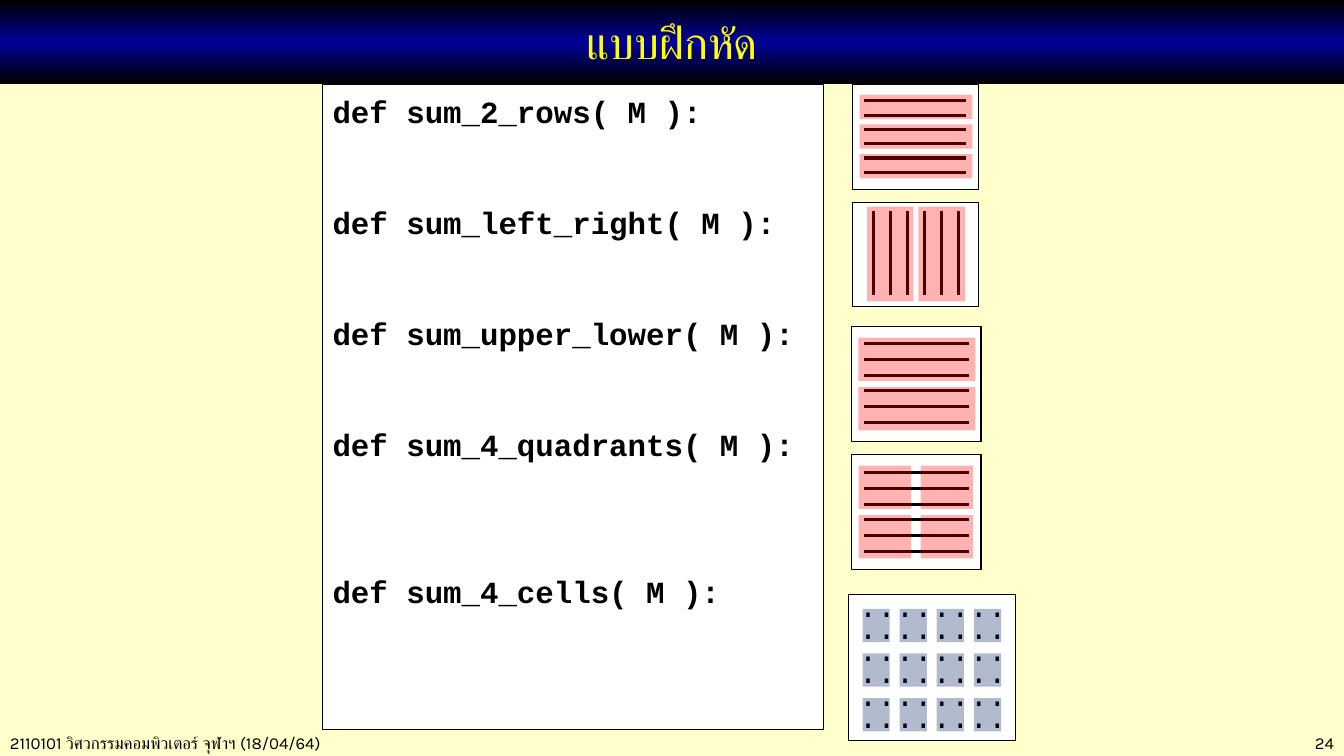
from dataclasses import dataclass
from typing import Iterator, Optional

from lxml.etree import SubElement
from pptx import Presentation
from pptx.dml.color import RGBColor
from pptx.dml.fill import FillFormat
from pptx.enum.shapes import MSO_CONNECTOR, MSO_SHAPE
from pptx.enum.text import MSO_ANCHOR, PP_ALIGN
from pptx.oxml.ns import qn
from pptx.shapes.autoshape import Shape
from pptx.text.text import TextFrame
from pptx.util import Inches, Length, Pt

COLUMNS, ROWS = 133.3, 75
CODE_LINE = 26.4
BLACK, WHITE, YELLOW, RED, NAVY = "000000", "FFFFFF", "FFFF00", "FF0000", "002060"


@dataclass(frozen=True)
class Area:
    left: float
    top: float
    width: float
    height: float


@dataclass(frozen=True)
class Repeat:
    first: Area
    columns: int = 1
    rows: int = 1
    column_step: float = 0
    row_step: float = 0

    def areas(self) -> Iterator[Area]:
        for row in range(self.rows):
            for column in range(self.columns):
                yield Area(self.first.left + column * self.column_step,
                           self.first.top + row * self.row_step,
                           self.first.width, self.first.height)


@dataclass(frozen=True)
class Matrix:
    frame: Area
    blocks: Repeat
    block_color: str = RED
    strokes: Optional[Repeat] = None
    dots: tuple[str, ...] = ()


@dataclass(frozen=True)
class Function:
    signature: str
    gap_lines: int


FUNCTIONS = [
    Function("def sum_2_rows( M ):", 0),
    Function("def sum_left_right( M ):", 2),
    Function("def sum_upper_lower( M ):", 2),
    Function("def sum_4_quadrants( M ):", 2),
    Function("def sum_4_cells( M ):", 3),
]

MATRICES = [
    Matrix(Area(84.6, 8.4, 12.5, 10.4),
           Repeat(Area(85.25, 9.4, 11.2, 2.4), rows=3, row_step=2.95),
           strokes=Repeat(Area(85.7, 10, 10.1, 0), rows=6, row_step=1.42)),
    Matrix(Area(84.6, 20.05, 12.5, 10.4),
           Repeat(Area(86, 20.5, 4.6, 9.4), columns=2, column_step=5.1),
           strokes=Repeat(Area(86.6, 20.9, 0, 8.4), columns=6, column_step=1.7)),
    Matrix(Area(84.5, 32.4, 12.8, 11.4),
           Repeat(Area(85.15, 33.5, 11.6, 4.3), rows=2, row_step=4.9),
           strokes=Repeat(Area(85.7, 34.1, 10.4, 0), rows=6, row_step=1.56)),
    Matrix(Area(84.5, 45.1, 12.8, 11.4),
           Repeat(Area(85.15, 46.2, 5.2, 4.3), 2, 2, 6.15, 4.9),
           strokes=Repeat(Area(85.7, 46.9, 10.4, 0), rows=6, row_step=1.56)),
    Matrix(Area(84.2, 59, 16.5, 14.5),
           Repeat(Area(85.55, 60.4, 2.7, 3.3), 4, 3, 3.68, 4.43),
           block_color=NAVY,
           dots=("........................", "........", "........", "........")),
]


def cells(count: float) -> Length:
    return Inches(count / 10)


def color(value: str) -> RGBColor:
    return RGBColor.from_string(value)


def place(area: Area) -> tuple[Length, Length, Length, Length]:
    return cells(area.left), cells(area.top), cells(area.width), cells(area.height)


def paint(fill: FillFormat, value: str) -> None:
    fill.solid()
    fill.fore_color.rgb = color(value)


def add_panel(shapes, area: Area, fill: str, outline: str = "", opacity: int = 100) -> Shape:
    panel = shapes.add_shape(MSO_SHAPE.RECTANGLE, *place(area))
    panel.shadow.inherit = False
    paint(panel.fill, fill)
    if opacity < 100:
        tint = panel.fill._xPr.find(qn("a:solidFill"))[0]
        SubElement(tint, qn("a:alpha"), val=str(opacity * 1000))
    if outline:
        paint(panel.line.fill, outline)
        panel.line.width = Pt(0.75)
    else:
        panel.line.fill.background()
    return panel


def add_stroke(shapes, area: Area) -> None:
    stroke = shapes.add_connector(
        MSO_CONNECTOR.STRAIGHT, cells(area.left), cells(area.top),
        cells(area.left + area.width), cells(area.top + area.height))
    paint(stroke.line.fill, BLACK)
    stroke.line.width = Pt(2.25)
    SubElement(stroke._element.spPr, qn("a:effectLst"))


def write(frame: TextFrame, lines: list[str], font: str, size: float, ink: str = BLACK,
          align: PP_ALIGN = PP_ALIGN.LEFT, bold: bool = False) -> None:
    frame.word_wrap = True
    for index, line in enumerate(lines):
        paragraph = frame.add_paragraph() if index else frame.paragraphs[0]
        paragraph.text = line
        paragraph.alignment = align
        paragraph.font.name = font
        paragraph.font.size = Pt(size)
        paragraph.font.bold = bold
        paragraph.font.color.rgb = color(ink)


def add_title(shapes, text: str) -> None:
    banner = add_panel(shapes, Area(0, 0, COLUMNS, 8.3), BLACK)
    banner.fill.gradient()
    banner.fill.gradient_angle = 270
    stops = banner.fill._xPr.find(qn("a:gradFill")).find(qn("a:gsLst"))
    stops.clear()
    for share, shade in ((0, BLACK), (50, "000099"), (100, BLACK)):
        stop = SubElement(stops, qn("a:gs"), pos=str(share * 1000))
        SubElement(stop, qn("a:srgbClr"), val=shade)
    banner.text_frame.vertical_anchor = MSO_ANCHOR.MIDDLE
    write(banner.text_frame, [text], "Karla", 32, YELLOW, PP_ALIGN.CENTER)


def add_code(shapes, functions: list[Function]) -> None:
    listing = add_panel(shapes, Area(32, 8.4, 49.7, 64), WHITE, BLACK).text_frame
    listing.vertical_anchor = MSO_ANCHOR.TOP
    listing.margin_top = cells(0.8)
    write(listing, [function.signature for function in functions], "Courier New", 22, bold=True)
    for paragraph, function in zip(listing.paragraphs, functions):
        paragraph.line_spacing = Pt(CODE_LINE)
        paragraph.space_before = Pt(function.gap_lines * CODE_LINE)


def add_matrix(shapes, matrix: Matrix) -> None:
    group = shapes.add_group_shape().shapes
    add_panel(group, matrix.frame, WHITE, BLACK)
    if matrix.strokes:
        for area in matrix.strokes.areas():
            add_stroke(group, area)
    if matrix.dots:
        frame = matrix.frame
        entries = group.add_textbox(*place(Area(frame.left, frame.top, 17.9, frame.height)))
        write(entries.text_frame, list(matrix.dots), "Courier New", 22)
        for paragraph in entries.text_frame.paragraphs:
            paragraph.line_spacing = 0.6
    for area in matrix.blocks.areas():
        add_panel(group, area, matrix.block_color, opacity=30)


def main() -> None:
    """Build the matrix exercise slide."""
    deck = Presentation()
    deck.slide_width, deck.slide_height = cells(COLUMNS), cells(ROWS)
    slide = deck.slides.add_slide(deck.slide_layouts[6])
    paint(slide.background.fill, "FFFFCC")
    course = slide.shapes.add_textbox(*place(Area(0, 72.2, 52, 3)))
    write(course.text_frame, ["2110101 วิศวกรรมคอมพิวเตอร์ จุฬาฯ (18/04/64)"], "Karla", 12)
    page = slide.shapes.add_textbox(*place(Area(115, 72.2, 18.3, 3)))
    write(page.text_frame, ["24"], "Karla", 12, align=PP_ALIGN.RIGHT)
    add_title(slide.shapes, "แบบฝึกหัด")
    add_code(slide.shapes, FUNCTIONS)
    for matrix in MATRICES:
        add_matrix(slide.shapes, matrix)
    deck.save("out.pptx")


if __name__ == "__main__":
    main()
